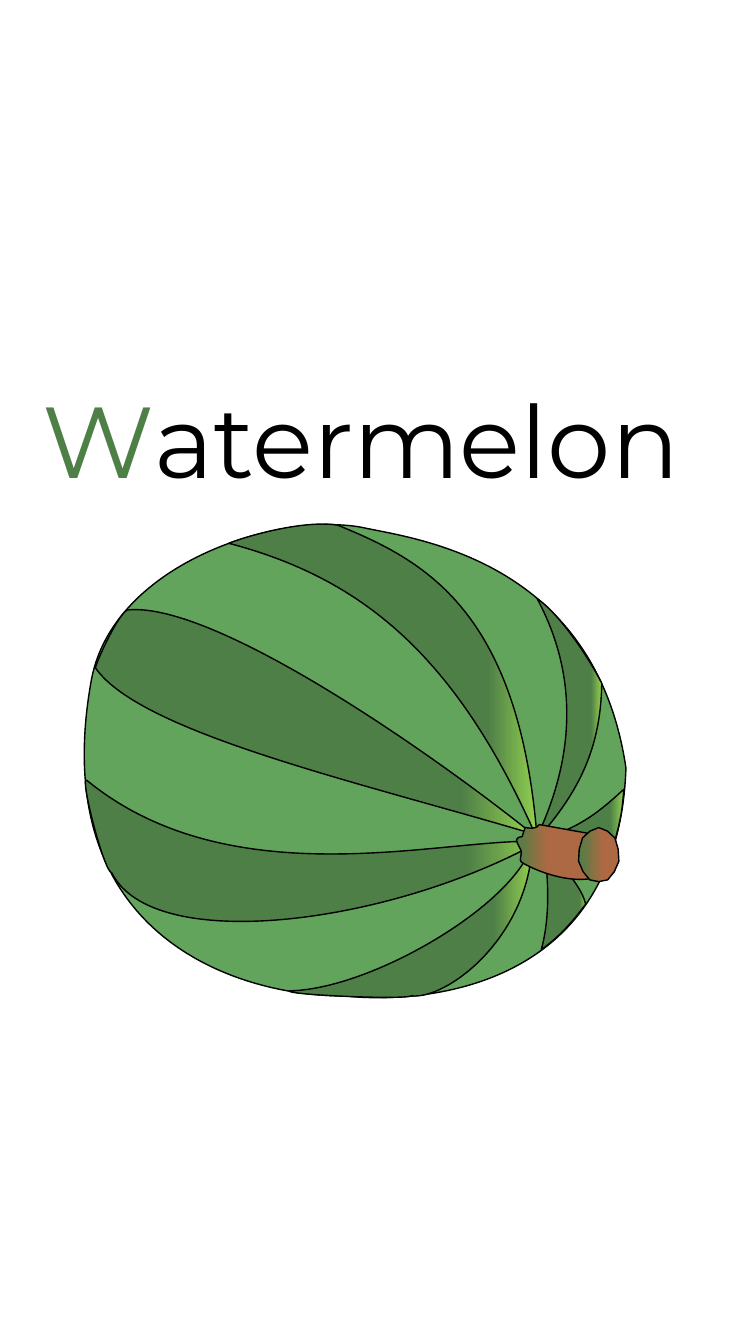
"""Build a tall flash card with the word Watermelon above a drawn watermelon."""
from lxml.etree import SubElement
from pptx import Presentation
from pptx.dml.color import RGBColor
from pptx.enum.shapes import MSO_SHAPE
from pptx.enum.text import MSO_AUTO_SIZE
from pptx.oxml.ns import qn
from pptx.util import Pt

BLACK = RGBColor(0x00, 0x00, 0x00)
RIND = RGBColor(0x62, 0xA4, 0x5C)
DARK_GREEN = RGBColor(0x4E, 0x7F, 0x47)
LIME = RGBColor(0x92, 0xD0, 0x50)
BROWN = RGBColor(0xAD, 0x69, 0x43)

TITLE = [("W", DARK_GREEN), ("atermelon", BLACK)]
UNIT = Pt(0.72)

RIND_PAINT = (RIND,)
STRIPE_PAINT = (LIME, DARK_GREEN, 0.16, 180)
STEM_PAINT = (DARK_GREEN, BROWN, 0.39, 0)
STEM_END_PAINT = (DARK_GREEN, BROWN, 0.6, 0)

RIND_OUTLINE = ((84, 520, 537, 470), [
    (621, 762), (613, 999, 390, 994, 342, 988), (241, 989, 43, 932, 91, 673),
    (113, 561, 271, 508, 358, 523), (406, 534, 590, 552, 621, 762)])
STRIPES = [
    ((227, 520, 306, 312), [
        (227, 539), (253, 529, 305, 516, 335, 521), (421, 556, 515, 605, 533, 832),
        (453, 651, 360, 574, 227, 539)]),
    ((94, 604, 433, 222), [
        (95, 663), (92, 664, 120, 602, 128, 605), (213, 598, 423, 743, 528, 827),
        (356, 776, 140, 727, 95, 663)]),
    ((85, 774, 450, 140), [
        (111, 866), (103, 865, 79, 770, 86, 774), (231, 893, 444, 830, 535, 835),
        (387, 917, 152, 948, 111, 866)]),
    ((287, 838, 241, 151), [
        (408, 988), (401, 992, 283, 987, 287, 983), (367, 982, 509, 899, 528, 838),
        (524, 931, 443, 992, 408, 988)]),
    ((537, 834, 45, 109), [
        (539, 834), (553, 855, 577, 878, 581, 897), (566, 917, 554, 930, 537, 942),
        (544, 917, 546, 882, 539, 834)]),
    ((533, 783, 86, 58), [
        (533, 833), (575, 823, 597, 803, 619, 783), (617, 803, 618, 805, 608, 842),
        (584, 842, 559, 841, 533, 833)]),
    ((530, 594, 67, 243), [
        (533, 594), (555, 609, 584, 652, 597, 678), (596, 747, 571, 790, 530, 836),
        (556, 783, 586, 693, 533, 594)]),
]
STEM_OUTLINE = ((513, 818, 77, 55), [
    (521, 821), (524, 821, 531, 824, 535, 818), (585, 827),
    (587, 832, 580, 840, 576, 842), (581, 860), (584, 864, 586, 855, 590, 871),
    (557, 878, 519, 857, 517, 855), (515, 853, 518, 848, 517, 844),
    (516, 840, 507, 831, 518, 830), (521, 821)])


def add_curved_shape(group, frame, segments):
    """Add a freeform filling the frame, then bend its path into cubic curves."""
    left, top, width, height = (value * UNIT for value in frame)
    right, bottom = left + width, top + height
    builder = group.shapes.build_freeform(left, top)
    builder.add_line_segments([(right, top), (right, bottom), (left, bottom)])
    shape = builder.convert_to_shape()
    path = next(shape._element.iter(qn("a:path")))
    for child in list(path):
        path.remove(child)
    for index, segment in enumerate(segments):
        tag = "a:cubicBezTo" if len(segment) == 6 else "a:lnTo" if index else "a:moveTo"
        step = SubElement(path, qn(tag))
        for x, y in zip(segment[::2], segment[1::2]):
            SubElement(step, qn("a:pt"), x=str(x * UNIT - left), y=str(y * UNIT - top))
    SubElement(path, qn("a:close"))
    return shape


def paint(shape, first, second=None, stop=1, angle=0):
    """Give a shape a plain or two-stop fill and a thin black line."""
    shape.shadow.inherit = False
    shape.line.color.rgb = BLACK
    shape.line.width = Pt(1)
    if second is None:
        shape.fill.solid()
        shape.fill.fore_color.rgb = first
        return
    shape.fill.gradient()
    shape.fill.gradient_angle = angle
    for mark, place, color in zip(shape.fill.gradient_stops, (0, stop), (first, second)):
        mark.position = place
        mark.color.rgb = color


def add_title(page):
    """Write the word with its coloured first letter."""
    box = page.shapes.add_textbox(Pt(23), Pt(266.4), Pt(501), Pt(94.3))
    box.text_frame.word_wrap = True
    box.text_frame.auto_size = MSO_AUTO_SIZE.SHAPE_TO_FIT_TEXT
    para = box.text_frame.paragraphs[0]
    for text, color in TITLE:
        span = para.add_run()
        span.text = text
        span.font.name = "Montserrat"
        span.font.size = Pt(72)
        span.font.color.rgb = color


def add_watermelon(page):
    """Draw rind, stripes, stem and stem end as one group."""
    melon = page.shapes.add_group_shape()
    parts = [(RIND_OUTLINE, RIND_PAINT)]
    parts += [(stripe, STRIPE_PAINT) for stripe in STRIPES]
    parts.append((STEM_OUTLINE, STEM_PAINT))
    for (frame, segments), colors in parts:
        paint(add_curved_shape(melon, frame, segments), *colors)
    stem_end = melon.shapes.add_shape(MSO_SHAPE.STAR_7_POINT, Pt(413.3), Pt(591.1),
                                      Pt(28.8), Pt(37.4))
    for index, value in enumerate((0.483, 1.026, 1.052)):
        stem_end.adjustments[index] = value
    paint(stem_end, *STEM_END_PAINT)


def main():
    """Build and save the card."""
    deck = Presentation()
    deck.slide_width, deck.slide_height = Pt(540), Pt(960)
    page = deck.slides.add_slide(deck.slide_layouts[6])
    add_title(page)
    add_watermelon(page)
    deck.save("out.pptx")


if __name__ == "__main__":
    main()
